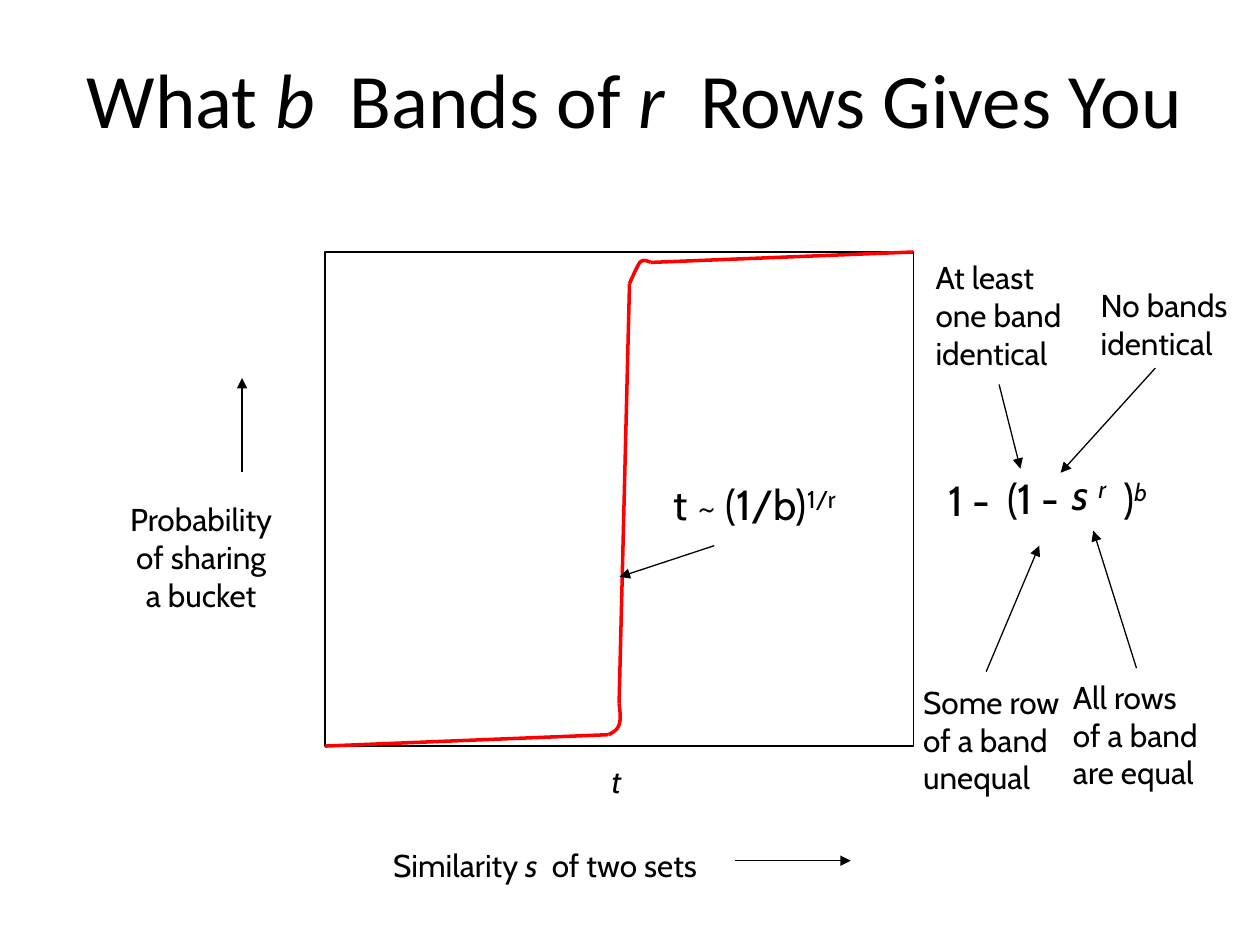
from lxml.etree import SubElement
from pptx import Presentation
from pptx.dml.color import RGBColor
from pptx.enum.shapes import MSO_CONNECTOR as CONN, MSO_SHAPE as SHAPE
from pptx.enum.text import MSO_ANCHOR as ANCHOR, PP_ALIGN as ALIGN
from pptx.oxml.ns import qn
from pptx.util import Cm, Pt

COLORS = {"ink": "000000", "curve": "FF0000"}


def rgb(name):
    """Return the named colour."""
    return RGBColor.from_string(COLORS[name])


def add_text(s, box, *lines, size=18, font="Cabin", align=ALIGN.LEFT, wrap=False):
    """Add lines of text, each a string or a list of (text, style) runs, i italic and ^ raised."""
    tf = s.shapes.add_textbox(*map(Cm, box)).text_frame
    tf.word_wrap = wrap
    tf.vertical_anchor = ANCHOR.TOP
    for n, line in enumerate(lines):
        p = tf.add_paragraph() if n else tf.paragraphs[0]
        p.alignment = align
        for text, style in [(line, "")] if isinstance(line, str) else line:
            r = p.add_run()
            r.text = text
            r.font.name, r.font.size = font, Pt(size)
            r.font.italic = "i" in style
            r.font.color.rgb = rgb("ink")
            if "^" in style:
                r.font._element.set("baseline", "30000")


def add_line(s, start, end, color="ink", width=0.75, arrow=True):
    """Add a straight line, with an arrowhead at its end if wanted."""
    c = s.shapes.add_connector(CONN.STRAIGHT, *map(Cm, start + end))
    c.line.color.rgb = rgb(color)
    c.line.width = Pt(width)
    if arrow:
        SubElement(c.line._get_or_add_ln(), qn("a:tailEnd"), type="triangle")
    SubElement(c._element.spPr, qn("a:effectLst"))


def bezier(a, b, c, d, steps=8):
    """Return points along a cubic curve, without its start."""
    ts = [n / steps for n in range(1, steps + 1)]
    return [tuple((1 - t) ** 3 * w + 3 * t * (1 - t) ** 2 * x + 3 * t * t * (1 - t) * y + t ** 3 * z
                  for w, x, y, z in zip(a, b, c, d)) for t in ts]


def add_bend(s, knots):
    """Add a bend of the curve through two joined cubic pieces."""
    points = [tuple(map(Cm, pt)) for pt in bezier(*knots[:4]) + bezier(*knots[3:])]
    fb = s.shapes.build_freeform(*map(Cm, knots[0]))
    fb.add_line_segments(points, close=False)
    sp = fb.convert_to_shape()
    sp.shadow.inherit = False
    sp.fill.background()
    sp.line.color.rgb = rgb("curve")
    sp.line.width = Pt(2)


def mover(left, top):
    """Return a function that shifts a point or box by the given corner."""
    return lambda x, y, *size: (left + x, top + y, *size)


def add_title(s, box):
    """Add the slide title."""
    add_text(s, box, [("What ", ""), ("b", "i"), ("  Bands of ", ""), ("r", "i"),
                      ("  Rows Gives You", "")],
             size=44, font="Calibri", align=ALIGN.CENTER, wrap=True)


def add_plot(s, left, top, width, height):
    """Add the framed step curve and its threshold note."""
    at = mover(left, top)
    sp = s.shapes.add_shape(SHAPE.RECTANGLE, *map(Cm, (left, top, width, height)))
    sp.shadow.inherit = False
    sp.fill.background()
    sp.line.color.rgb = rgb("ink")
    sp.line.width = Pt(0.75)
    low = [at(*pt) for pt in ((5.72, 9.73), (5.82, 9.68), (5.9, 9.63), (5.93, 9.53),
                              (5.97, 9.42), (5.95, 9.27), (5.93, 9.1))]
    high = [at(*pt) for pt in ((6.14, 0.64), (6.22, 0.46), (6.3, 0.28), (6.35, 0.21),
                               (6.42, 0.14), (6.5, 0.18), (6.57, 0.21))]
    for start, end in ((at(0, height), low[0]), (low[-1], high[0]), (high[-1], at(width, 0))):
        add_line(s, start, end, color="curve", width=2, arrow=False)
    for knots in (low, high):
        add_bend(s, knots)
    add_text(s, at(6.78, 4.45, 4.75, 1.27), [("t ~ (1/b)", ""), ("1/r", "^")], size=24)
    add_line(s, at(7.85, 5.92), at(5.94, 6.55))


def add_y_axis(s, left, top):
    """Add the vertical axis label and arrow."""
    at = mover(left, top)
    add_text(s, at(0, 2.34, 3.43, 2.54), "Probability", "of sharing", "a bucket",
             align=ALIGN.CENTER)
    add_line(s, at(2.54, 1.9), at(2.54, 0))


def add_x_axis(s, left, top):
    """Add the threshold mark, the horizontal axis label and its arrow."""
    at = mover(left, top)
    add_text(s, at(4.6, 0, 0.71, 1.02), [("t", "i")], align=ALIGN.CENTER)
    add_text(s, at(0, 1.7, 7.04, 1.02),
             [("Similarity ", ""), ("s", "i"), ("  of two sets", "")], align=ALIGN.CENTER)
    add_line(s, at(7.34, 2.11), at(9.68, 2.11))


def add_formula(s, left, top):
    """Add the formula and the notes that point at its parts."""
    at = mover(left, top)
    parts = [
        ((0.51, 4.57, 1.55, 1.27), "1 -"),
        ((1.7, 4.52, 0.84, 1.27), "("),
        ((1.9, 4.52, 1.55, 1.27), "1 -"),
        ((3.02, 4.45, 1.52, 1.27), [("s ", "i"), ("r", "i^")]),
        ((4.04, 4.52, 1.32, 1.27), [(")", ""), ("b", "i^")]),
    ]
    notes = [
        ((0.25, 0.2, 3.12, 2.54), ("At least", "one band", "identical"), (1.78, 2.87), (2.21, 4.57)),
        ((3.58, 0.76, 3.15, 1.78), ("No bands", "identical"), (4.93, 2.54), (3.02, 4.65)),
        ((0, 8.76, 3.33, 2.54), ("Some row", "of a band", "unequal"), (1.52, 8.66), (2.59, 6.12)),
        ((3.02, 8.66, 3.18, 2.54), ("All rows", "of a band", "are equal"), (4.55, 8.59), (3.68, 5.82)),
    ]
    for box, text in parts:
        add_text(s, at(*box), text, size=24)
    for box, lines, start, end in notes:
        add_text(s, at(*box), *lines)
        add_line(s, at(*start), at(*end))


def main():
    """Build the slide and save it."""
    prs = Presentation()
    prs.slide_width, prs.slide_height = Cm(25.4), Cm(19.05)
    s = prs.slides.add_slide(prs.slide_layouts[6])
    add_title(s, (0.89, 0.91, 23.8, 3.18))
    add_plot(s, 6.55, 5.08, 11.86, 9.96)
    add_y_axis(s, 2.34, 7.62)
    add_x_axis(s, 7.47, 15.24)
    add_formula(s, 18.36, 4.88)
    prs.save("out.pptx")


if __name__ == "__main__":
    main()
